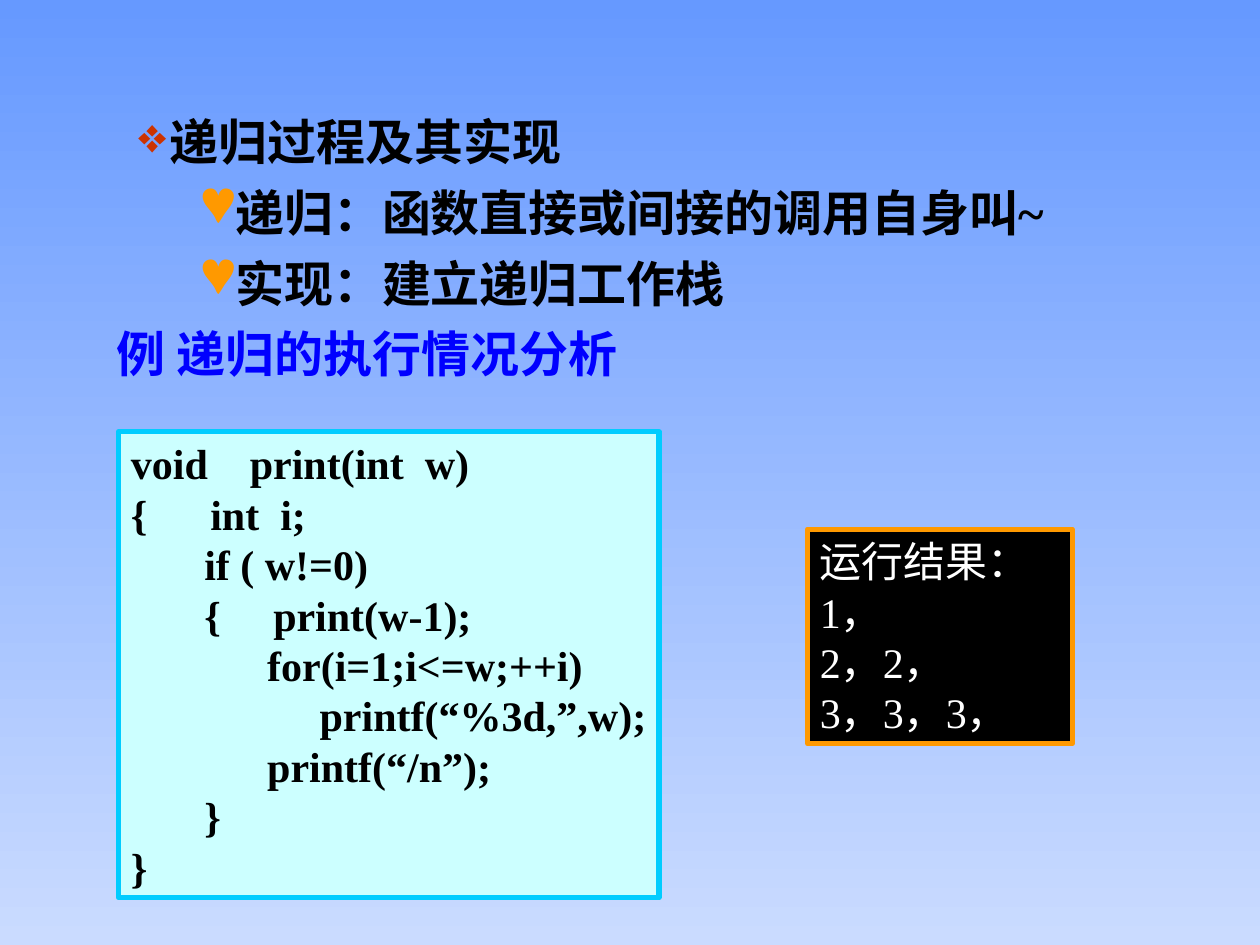
from dataclasses import dataclass

from lxml.etree import SubElement
from pptx import Presentation
from pptx.dml.color import RGBColor
from pptx.enum.shapes import MSO_SHAPE
from pptx.enum.text import MSO_ANCHOR, PP_ALIGN
from pptx.oxml.ns import qn
from pptx.util import Inches, Pt

WIDE, HIGH = Inches(10), Inches(7.5)


@dataclass(frozen=True)
class Theme:
    top: str = "6699FF"
    base: str = "CADBFF"
    ink: str = "000000"
    white: str = "FFFFFF"
    blue: str = "0000FF"
    red: str = "CC3300"
    gold: str = "FF9900"
    ice: str = "CCFFFF"
    cyan: str = "00CCFF"
    serif: str = "Times New Roman"
    sans: str = "Noto Sans CJK SC"
    head: int = 28
    body: int = 24
    edge: int = 3
    pitch: float = 1.2


@dataclass(frozen=True)
class Area:
    left: float
    top: float
    width: float
    height: float

    def place(self) -> tuple[int, ...]:
        return (int(self.left * WIDE), int(self.top * HIGH),
                int(self.width * WIDE), int(self.height * HIGH))


@dataclass(frozen=True)
class Point:
    text: str
    level: int
    mark: str
    color: str


@dataclass(frozen=True)
class Panel:
    area: Area
    text: str
    fill: str
    line: str
    ink: str
    bold: bool


THEME = Theme()
POINTS = (
    Point("递归过程及其实现", 2, "❖", THEME.red),
    Point("递归：函数直接或间接的调用自身叫~", 3, "♥", THEME.gold),
    Point("实现：建立递归工作栈", 3, "♥", THEME.gold),
)
CODE = """void    print(int  w)
{      int  i;
       if ( w!=0)
       {     print(w-1);
             for(i=1;i<=w;++i)
                  printf(“%3d,”,w);
             printf(“/n”);
       }
}"""
RESULT = """运行结果：
1，
2，2，
3，3，3，"""
PANELS = (
    Panel(Area(0.094, 0.457, 0.429, 0.493), CODE, THEME.ice, THEME.cyan, THEME.ink, True),
    Panel(Area(0.641, 0.56, 0.21, 0.227), RESULT, THEME.ink, THEME.gold, THEME.white, False),
)


def style(para, size: int, color: str, bold: bool, face: str = THEME.serif) -> None:
    para.alignment = PP_ALIGN.LEFT
    para.line_spacing = Pt(size * THEME.pitch)
    for run in para.runs:
        font = run.font
        font.size, font.bold, font.name = Pt(size), bold, face
        font.color.rgb = RGBColor.from_string(color)
        SubElement(font._element, qn("a:ea"), typeface=THEME.sans)


def bullet(para, point: Point) -> None:
    props = para._p.get_or_add_pPr()
    props.set("marL", str(Inches(0.25 + point.level * 0.5)))
    props.set("indent", str(Inches(-0.25)))
    tint = SubElement(props, qn("a:buClr"))
    SubElement(tint, qn("a:srgbClr"), val=point.color)
    SubElement(props, qn("a:buChar"), char=point.mark)
    para.level = point.level


def add_text(slide, area: Area, text: str):
    frame = slide.shapes.add_textbox(*area.place()).text_frame
    frame.word_wrap = True
    frame.text = text
    return frame


def add_list(slide, area: Area, points: tuple[Point, ...]) -> None:
    frame = add_text(slide, area, "\n".join(point.text for point in points))
    for row, (para, point) in enumerate(zip(frame.paragraphs, points)):
        bullet(para, point)
        style(para, THEME.head, THEME.ink, True)
        if row:
            para.space_before = Pt(THEME.head / 4)


def add_panel(slide, panel: Panel) -> None:
    shape = slide.shapes.add_shape(MSO_SHAPE.RECTANGLE, *panel.area.place())
    shape.shadow.inherit = False
    shape.fill.solid()
    shape.fill.fore_color.rgb = RGBColor.from_string(panel.fill)
    shape.line.color.rgb = RGBColor.from_string(panel.line)
    shape.line.width = Pt(THEME.edge)
    frame = shape.text_frame
    frame.word_wrap = False
    frame.vertical_anchor = MSO_ANCHOR.MIDDLE
    frame.text = panel.text
    for para in frame.paragraphs:
        style(para, THEME.body, panel.ink, panel.bold)


def paint(slide) -> None:
    fill = slide.background.fill
    fill.gradient()
    fill.gradient_angle = 270
    for stop, color, spot in zip(fill.gradient_stops, (THEME.top, THEME.base), (0, 1)):
        stop.color.rgb = RGBColor.from_string(color)
        stop.position = spot


def main() -> None:
    deck = Presentation()
    deck.slide_width, deck.slide_height = WIDE, HIGH
    slide = deck.slides.add_slide(deck.slide_layouts[6])
    paint(slide)
    case = add_text(slide, Area(0.083, 0.336, 0.5, 0.076), "例 递归的执行情况分析")
    style(case.paragraphs[0], THEME.head, THEME.blue, True, THEME.sans)
    add_list(slide, Area(0, 0.111, 0.93, 0.2), POINTS)
    for panel in PANELS:
        add_panel(slide, panel)
    deck.save("out.pptx")


if __name__ == "__main__":
    main()
